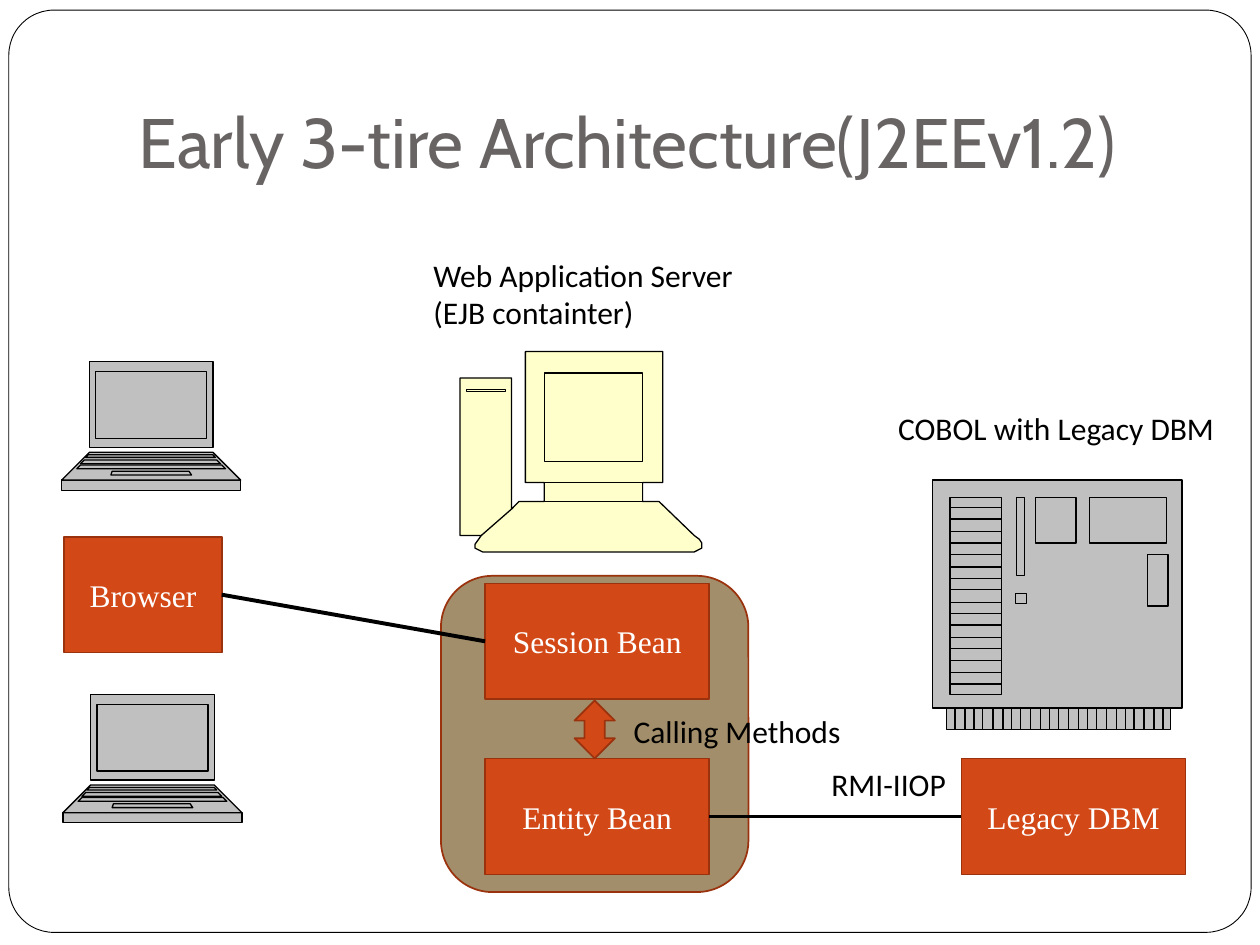
from copy import deepcopy
from typing import NamedTuple

from lxml.etree import SubElement
from pptx import Presentation
from pptx.dml.color import RGBColor
from pptx.enum.shapes import MSO_CONNECTOR, MSO_SHAPE
from pptx.enum.text import MSO_ANCHOR, MSO_AUTO_SIZE, PP_ALIGN
from pptx.oxml.ns import qn
from pptx.util import Emu, Pt

PX = 9144  # 100 px to the inch
BLACK, WHITE, GREY, CREAM = "000000", "FFFFFF", "C0C0C0", "FFFFCC"
ORANGE, RUST, TAN, TITLE_GREY = "D34817", "9B320E", "A28E6A", "696464"
BOTTOM, LEFT, RIGHT = 2, 1, 3

Outline = list[tuple[int, int]]


class Box(NamedTuple):
    left: int
    top: int
    width: int
    height: int


class Node(NamedTuple):
    text: str
    box: Box


class Label(NamedTuple):
    lines: tuple[str, ...]
    box: Box


class Link(NamedTuple):
    start: str
    end: str


NODES = [
    Node("Browser", Box(51, 426, 125, 92)),
    Node("Session Bean", Box(385, 463, 178, 92)),
    Node("Legacy DBM", Box(763, 602, 178, 92)),
    Node("Entity Bean", Box(385, 602, 178, 92)),
]
LINKS = [Link("Browser", "Session Bean"), Link("Entity Bean", "Legacy DBM")]
LABELS = [
    Label(("COBOL with Legacy DBM",), Box(703, 320, 271, 40)),
    Label(("Web Application Server", "(EJB containter)"), Box(334, 198, 259, 70)),
    Label(("RMI-IIOP",), Box(650, 602, 111, 40)),
    Label(("Calling Methods",), Box(493, 560, 184, 40)),
]


def px(length: int) -> Emu:
    return Emu(length * PX)


def color(value: str) -> RGBColor:
    return RGBColor.from_string(value)


def paint(shape, fill: str, line: str, width: float) -> None:
    shape.shadow.inherit = False
    shape.fill.solid()
    shape.fill.fore_color.rgb = color(fill)
    shape.line.color.rgb = color(line)
    shape.line.width = Pt(width)


def style_text(frame, font: str, size: int, ink: str, align) -> None:
    for paragraph in frame.paragraphs:
        paragraph.alignment = align
        for span in paragraph.runs:
            span.font.name = font
            span.font.size = Pt(size)
            span.font.color.rgb = color(ink)


def add_preset(page, kind, box: Box, fill: str, line: str, width: float = 1):
    shape = page.shapes.add_shape(kind, *map(px, box))
    paint(shape, fill, line, width)
    return shape


def add_node(page, node: Node):
    shape = add_preset(page, MSO_SHAPE.RECTANGLE, node.box, ORANGE, RUST)
    shape.text_frame.text = node.text
    shape.text_frame.vertical_anchor = MSO_ANCHOR.MIDDLE
    style_text(shape.text_frame, "Times New Roman", 18, WHITE, PP_ALIGN.CENTER)
    return shape


def add_label(page, label: Label) -> None:
    frame = page.shapes.add_textbox(*map(px, label.box)).text_frame
    frame.text = "\n".join(label.lines)
    frame.word_wrap = False
    frame.auto_size = MSO_AUTO_SIZE.SHAPE_TO_FIT_TEXT
    style_text(frame, "Calibri", 18, BLACK, PP_ALIGN.LEFT)


def add_link(page, start, end) -> None:
    line = page.shapes.add_connector(MSO_CONNECTOR.STRAIGHT, 0, 0, 0, 0)
    line.begin_connect(start, RIGHT)
    line.end_connect(end, LEFT)
    line.line.color.rgb = color(BLACK)
    line.line.width = Pt(2.25)
    SubElement(line._element.spPr, qn("a:effectLst"))


def rectangle(left: int, top: int, right: int, bottom: int) -> Outline:
    return [(left, top), (right, top), (right, bottom), (left, bottom)]


def add_drawing(page, outlines: list[Outline], fill: str) -> None:
    """Draw outlines as one shape, each filled over those before it."""
    builder = page.shapes.build_freeform(*outlines[0][0], scale=PX)
    for index, outline in enumerate(outlines):
        if index:
            builder.move_to(*outline[0])
        builder.add_line_segments(outline[1:], close=len(outline) > 2)
    shape = builder.convert_to_shape()
    paint(shape, fill, BLACK, 0.75)

    # Give every outline its own path so overlaps stay filled
    whole = shape._element.find(".//" + qn("a:path"))
    steps = list(whole)
    for step in steps:
        whole.remove(step)
    blank = deepcopy(whole)
    for step in steps:
        if step.tag == qn("a:moveTo"):
            part = deepcopy(blank)
            whole.getparent().append(part)
        part.append(step)
    whole.getparent().remove(whole)


def add_laptop(page, left: int, top: int) -> None:
    # Keyboard layers: upper left, upper right, y, lower left, lower right, y
    layers = [
        (22, 120, 72, 0, 142, 94),
        (21, 120, 74, 19, 122, 76),
        (40, 101, 87, 39, 103, 90),
        (18, 123, 78, 15, 126, 81),
        (15, 127, 82, 12, 130, 85),
    ]
    outlines = [rectangle(22, 0, 120, 68), rectangle(27, 8, 115, 61), rectangle(0, 94, 142, 102)]
    outlines += [[(a, y), (b, y), (d, z), (c, z)] for a, b, y, c, d, z in layers]
    add_drawing(page, [[(left + x, top + y) for x, y in o] for o in outlines], GREY)


def add_workstation(page) -> None:
    body = [
        (406, 404), (412, 398), (432, 398), (432, 383), (417, 383), (417, 279),
        (526, 279), (526, 383), (510, 383), (510, 398), (523, 398), (551, 425),
        (555, 428), (557, 431), (557, 435), (551, 438), (383, 438), (377, 435),
        (377, 432), (382, 425), (365, 425), (365, 300), (406, 300),
    ]
    add_drawing(page, [
        body,
        [(382, 425), (406, 404)],
        rectangle(432, 296, 510, 366),  # screen
        rectangle(370, 309, 401, 311),  # disk slot
        rectangle(432, 383, 510, 398),  # neck
    ], CREAM)


def add_mainframe(page) -> None:
    cabinet = [(740, 381), (938, 381), (938, 562), (929, 562),
               (929, 579), (751, 579), (751, 562), (740, 562)]
    panels = [(754, 395, 795, 551), (807, 395, 813, 457), (806, 471, 815, 479),
              (822, 395, 854, 431), (865, 395, 926, 431), (911, 440, 927, 481)]
    slots = [403 + round(i * 140 / 15) for i in range(16)]
    pins = [758 + round(i * 165 / 22) for i in range(23)]
    outlines = [cabinet, [(751, 562), (929, 562)]]
    outlines += [rectangle(*panel) for panel in panels]
    outlines += [[(754, y), (795, y)] for y in slots]
    outlines += [[(x, 562), (x, 579)] for x in pins]
    add_drawing(page, outlines, GREY)


def add_title(page, text: str) -> None:
    title = page.shapes.title
    title.left, title.top, title.width, title.height = map(px, Box(100, 30, 850, 125))
    frame = title.text_frame
    frame.text = text
    frame.auto_size = MSO_AUTO_SIZE.NONE
    frame.vertical_anchor = MSO_ANCHOR.BOTTOM
    frame.margin_bottom = px(10)
    style_text(frame, "Cabin", 40, TITLE_GREY, PP_ALIGN.LEFT)


def main() -> None:
    deck = Presentation()
    deck.slide_width, deck.slide_height = px(1000), px(750)
    page = deck.slides.add_slide(deck.slide_layouts[5])

    # Page frame, behind the title
    border = add_preset(page, MSO_SHAPE.ROUNDED_RECTANGLE, Box(7, 8, 986, 732), WHITE, BLACK, 0.5)
    border.adjustments[0] = 0.049
    page.shapes._spTree.insert(2, border._element)
    add_title(page, "Early 3-tire Architecture(J2EEv1.2)")

    # Bean container
    container = add_preset(page, MSO_SHAPE.ROUNDED_RECTANGLE, Box(350, 457, 244, 251), TAN, RUST)
    container.adjustments[0] = 0.167

    # Machines
    add_mainframe(page)
    add_workstation(page)
    add_laptop(page, 49, 287)
    add_laptop(page, 50, 551)

    # Components, their links and labels
    nodes = {node.text: add_node(page, node) for node in NODES}
    for link in LINKS:
        add_link(page, nodes[link.start], nodes[link.end])
    add_preset(page, MSO_SHAPE.UP_DOWN_ARROW, Box(456, 556, 32, 46), ORANGE, RUST)
    for label in LABELS:
        add_label(page, label)

    deck.save("out.pptx")


if __name__ == "__main__":
    main()
